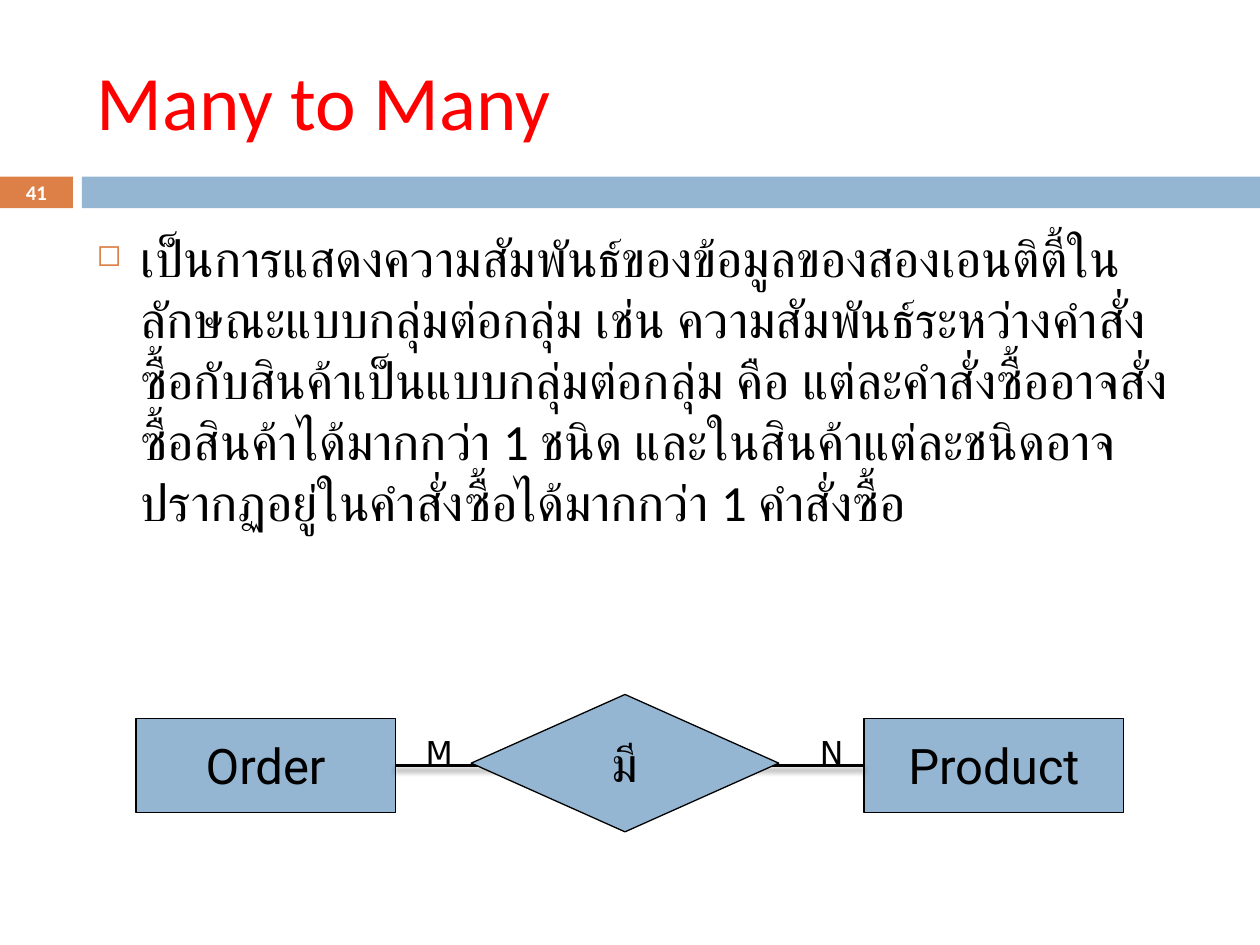
import pptx
import pptx.util
import pptx.dml.color
import pptx.enum.shapes
import pptx.enum.text
import pptx.oxml
import pptx.oxml.ns
from pptx.util import Cm

RGBColor = pptx.dml.color.RGBColor
SHAPE = pptx.enum.shapes.MSO_SHAPE
ALIGN = pptx.enum.text.PP_ALIGN
ANCHOR = pptx.enum.text.MSO_ANCHOR

RED = RGBColor(0xFF, 0x00, 0x00)
BLACK = RGBColor(0x00, 0x00, 0x00)
WHITE = RGBColor(0xFF, 0xFF, 0xFF)
BLUE = RGBColor(0x94, 0xB6, 0xD2)
ORANGE = RGBColor(0xDD, 0x80, 0x47)

TITLE = {"name": "Calibri", "size": 44, "color": RED}
BODY = {"name": "Calibri", "size": 29, "color": BLACK}
NUMBER = {"name": "Calibri", "size": 11.9, "color": WHITE, "bold": True}
NODE = {"name": "Roboto", "size": 28, "color": BLACK}
CARDINALITY = {"name": "DejaVu Sans", "size": 18, "color": BLACK}

EXPLANATION = (
    "เป็นการแสดงความสัมพันธ์ของข้อมูลของสองเอนติตี้ในลักษณะแบบกลุ่มต่อกลุ่ม "
    "เช่น ความสัมพันธ์ระหว่างคำสั่งซื้อกับสินค้าเป็นแบบกลุ่มต่อกลุ่ม "
    "คือ แต่ละคำสั่งซื้ออาจสั่งซื้อสินค้าได้มากกว่า 1 ชนิด "
    "และในสินค้าแต่ละชนิดอาจปรากฏอยู่ในคำสั่งซื้อได้มากกว่า 1 คำสั่งซื้อ"
)


def write(shape, text, style, align=ALIGN.LEFT, anchor=ANCHOR.TOP, wrap=True):
    """Put one formatted paragraph into a shape and return it."""
    frame = shape.text_frame
    frame.word_wrap = wrap
    frame.vertical_anchor = anchor
    paragraph = frame.paragraphs[0]
    paragraph.alignment = align
    run = paragraph.add_run()
    run.text = text
    for attribute, value in style.items():
        if attribute == "color":
            run.font.color.rgb = value
        elif attribute == "size":
            run.font.size = pptx.util.Pt(value)
        else:
            setattr(run.font, attribute, value)
    return paragraph


def add_text(slide, box, text, style, **layout):
    textbox = slide.shapes.add_textbox(*map(Cm, box))
    return write(textbox, text, style, **layout)


def add_filled(slide, kind, box, color):
    shape = slide.shapes.add_shape(kind, *map(Cm, box))
    shape.shadow.inherit = False
    shape.fill.solid()
    shape.fill.fore_color.rgb = color
    shape.line.fill.background()
    return shape


def add_node(slide, kind, box, text):
    """Add an outlined entity or relationship with a centred name."""
    node = add_filled(slide, kind, box, BLUE)
    node.line.color.rgb = BLACK
    node.line.width = pptx.util.Pt(0.75)
    write(node, text, NODE, ALIGN.CENTER, ANCHOR.MIDDLE, wrap=False)
    return node


def add_bullet(paragraph):
    properties = paragraph._p.get_or_add_pPr()
    properties.set("marL", str(Cm(0.89)))
    properties.set("indent", str(Cm(-0.89)))
    namespace = pptx.oxml.ns.nsdecls("a")
    for markup in (
        f'<a:buClr {namespace}><a:srgbClr val="{ORANGE}"/></a:buClr>',
        f'<a:buSzPct {namespace} val="60000"/>',
        f'<a:buChar {namespace} char="◻"/>',
    ):
        properties.append(pptx.oxml.parse_xml(markup))


def add_relation_line(slide, left_entity, right_entity):
    """Join two entities side to side with a softly shadowed line."""
    line = slide.shapes.add_connector(
        pptx.enum.shapes.MSO_CONNECTOR.STRAIGHT, 0, 0, 0, 0)
    line.begin_connect(left_entity, 3)
    line.end_connect(right_entity, 1)
    line.line.color.rgb = BLACK
    line.line.width = pptx.util.Pt(1.5)
    blur, distance = pptx.util.Pt(3), pptx.util.Pt(2.4)
    line._element.spPr.append(pptx.oxml.parse_xml(
        f'<a:effectLst {pptx.oxml.ns.nsdecls("a")}>'
        f'<a:outerShdw blurRad="{blur}" dist="{distance}" dir="5400000" rotWithShape="0">'
        f'<a:srgbClr val="{BLACK}"><a:alpha val="45000"/></a:srgbClr>'
        '</a:outerShdw></a:effectLst>'))


def main():
    presentation = pptx.Presentation()
    presentation.slide_width = Cm(25.4)
    presentation.slide_height = Cm(19.05)
    slide = presentation.slides.add_slide(presentation.slide_layouts[6])

    # Band under the title
    add_filled(slide, SHAPE.RECTANGLE, (0, 3.56, 1.47, 0.64), ORANGE)
    add_filled(slide, SHAPE.RECTANGLE, (1.65, 3.56, 23.75, 0.64), BLUE)

    # Title, explanation and slide number
    add_text(slide, (1.7, 0.64, 22.66, 2.74), "Many to Many", TITLE,
             anchor=ANCHOR.MIDDLE)
    explanation = add_text(slide, (1.7, 4.45, 22.66, 12.5), EXPLANATION, BODY)
    explanation.space_before = pptx.util.Pt(7)
    add_bullet(explanation)
    add_text(slide, (0, 3.53, 1.47, 0.69), "41", NUMBER,
             align=ALIGN.CENTER, anchor=ANCHOR.MIDDLE)

    # Entities
    order, product = (
        add_node(slide, SHAPE.RECTANGLE, (left, 14.48, 5.23, 1.9), name)
        for left, name in ((2.74, "Order"), (17.42, "Product")))

    # Cardinalities
    for left, letter in ((8.33, "M"), (16.28, "N")):
        add_text(slide, (left, 14.66, 1, 0.89), letter, CARDINALITY, wrap=False)

    # Relationship, with the diamond over the line
    add_relation_line(slide, order, product)
    add_node(slide, SHAPE.FLOWCHART_DECISION, (9.5, 14, 6.2, 2.77), "มี")

    presentation.save("out.pptx")


if __name__ == "__main__":
    main()
